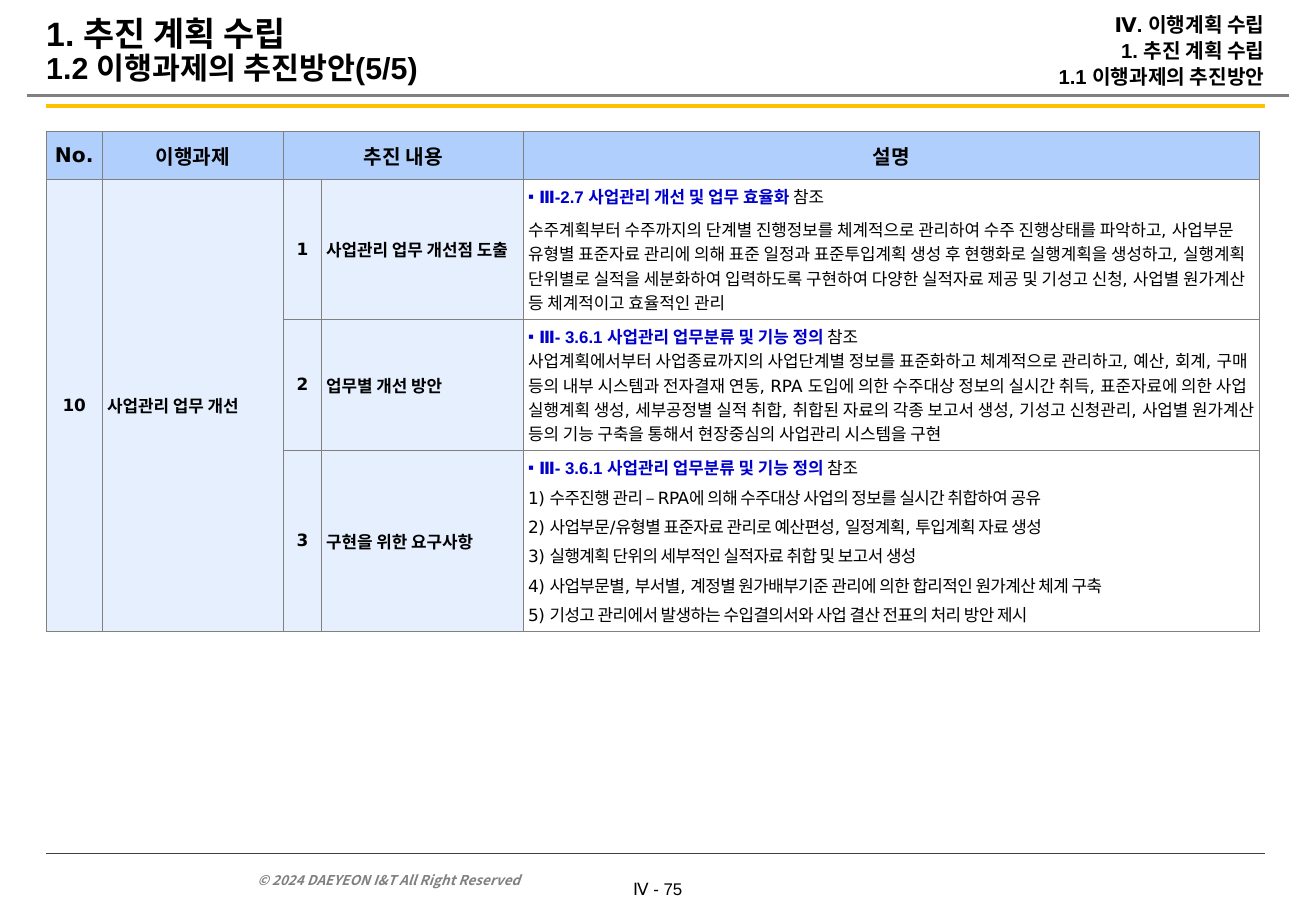
from lxml.etree import SubElement
from pptx import Presentation
from pptx.dml.color import RGBColor
from pptx.enum.shapes import MSO_CONNECTOR
from pptx.enum.text import MSO_ANCHOR as Anchor, PP_ALIGN as Align
from pptx.oxml.ns import qn
from pptx.util import Pt

rgb = RGBColor.from_string
KOREAN, SANS, ARIAL = "Noto Sans CJK KR", "DejaVu Sans", "Arial"
BLACK, GRAY, BLUE = "000000", "808080", "0000CC"
HEADER_FILL, LABEL_FILL, WHITE = "B1CFFC", "E5EFFE", "FFFFFF"


def write(frame, paragraphs, align=Align.LEFT, line_spacing=1.0, **base):
    """Fill a frame; a paragraph is (runs, space before, bullet), a run is (text, changes to base)."""
    for index, (runs, before, bullet) in enumerate(paragraphs):
        paragraph = frame.add_paragraph() if index else frame.paragraphs[0]
        paragraph.alignment, paragraph.line_spacing = align, line_spacing
        if before and index:
            paragraph.space_before = Pt(before)
        if bullet:
            properties = paragraph._p.get_or_add_pPr()
            properties.set("marL", str(Pt(6.5)))
            properties.set("indent", str(-Pt(6.5)))
            SubElement(properties, qn("a:buFont"), typeface=ARIAL)
            SubElement(properties, qn("a:buChar"), char=bullet)
        for text, changes in runs:
            values = {"size": 10, "name": ARIAL, "color": BLACK, "bold": False, **base, **changes}
            run = paragraph.add_run()
            run.text = text
            run.font.color.rgb = rgb(values.pop("color"))
            spacing = values.pop("spacing", 0)
            values["size"] = Pt(values["size"])
            for name, value in values.items():
                setattr(run.font, name, value)
            run_properties = run.font._element
            SubElement(run_properties, qn("a:ea"), typeface=KOREAN)
            run_properties.set("kern", "0")
            if spacing:
                run_properties.set("spc", str(round(spacing * 100)))


presentation = Presentation()
presentation.slide_width, presentation.slide_height = Pt(780), Pt(540)
slide = presentation.slides.add_slide(presentation.slide_layouts[6])

# Rules of the page frame
for left, right, y, color, width in [
    (16, 764, 56.5, GRAY, 1.5),
    (27.4, 750, 62.7, "FFC000", 2.5),
    (27.4, 750, 506, "404040", 0.5),
]:
    rule = slide.shapes.add_connector(MSO_CONNECTOR.STRAIGHT, Pt(left), Pt(y), Pt(right), Pt(y))
    rule.line.color.rgb = rgb(color)
    rule.line.width = Pt(width)
    SubElement(rule._element.spPr, qn("a:effectLst"))

# Title, chapter path and footer
title = [([("1. 추진 계획 수립", {"size": 20})], 0, None),
         ([("1.2 이행과제의 추진방안(5/5)", {"size": 18})], 0, None)]
chapter_path = [([(text, {})], 2.4, None) for text in
                ("Ⅳ. 이행계획 수립", "1. 추진 계획 수립", "1.1 이행과제의 추진방안")]
page_number = [([("Ⅳ - 75", {})], 0, None)]
copyright_line = [([("© 2024 DAEYEON I&T All Right Reserved", {})], 0, None)]
heading = {"bold": True, "line_spacing": 0.9}
for box, margins, anchor, wrap, paragraphs, formats in [
    ((27.4, 0, 470, 61.2), (0, 0), Anchor.MIDDLE, True, title, heading),
    ((504, 0, 245.5, 61.9), (0, 0), Anchor.MIDDLE, True, chapter_path,
     {**heading, "size": 12, "align": Align.RIGHT}),
    ((368.6, 517, 42.5, 19.4), (4.3, 3.6), Anchor.TOP, False, page_number, {"align": Align.CENTER}),
    ((145.4, 510.5, 217.4, 19.4), (7.2, 3.6), Anchor.BOTTOM, True, copyright_line,
     {"size": 8, "name": KOREAN, "color": GRAY, "bold": True, "italic": True}),
]:
    frame = slide.shapes.add_textbox(*map(Pt, box)).text_frame
    frame.word_wrap, frame.vertical_anchor = wrap, anchor
    frame.margin_left = frame.margin_right = Pt(margins[0])
    frame.margin_top = frame.margin_bottom = Pt(margins[1])
    write(frame, paragraphs, **formats)

# Task table
headers = ["No.", "이행과제", "추진 내용", None, "설명"]
tasks = [
    ("사업관리 업무 개선점 도출", "Ⅲ-2.7 사업관리 개선 및 업무 효율화 ", 5, 0, [
        "수주계획부터 수주까지의 단계별 진행정보를 체계적으로 관리하여 수주 진행상태를 파악하고, "
        "사업부문 유형별 표준자료 관리에 의해 표준 일정과 표준투입계획 생성 후 현행화로 실행계획을 생성하고, "
        "실행계획 단위별로 실적을 세분화하여 입력하도록 구현하여 다양한 실적자료 제공 및 기성고 신청, "
        "사업별 원가계산 등 체계적이고 효율적인 관리"]),
    ("업무별 개선 방안", "Ⅲ- 3.6.1 사업관리 업무분류 및 기능 정의 ", 0, 0, [
        "사업계획에서부터 사업종료까지의 사업단계별 정보를 표준화하고 체계적으로 관리하고, 예산, 회계, "
        "구매 등의 내부 시스템과 전자결재 연동, RPA 도입에 의한 수주대상 정보의 실시간 취득, "
        "표준자료에 의한 사업 실행계획 생성, 세부공정별 실적 취합, 취합된 자료의 각종 보고서 생성, "
        "기성고 신청관리, 사업별 원가계산 등의 기능 구축을 통해서 현장중심의 사업관리 시스템을 구현"]),
    ("구현을 위한 요구사항", "Ⅲ- 3.6.1 사업관리 업무분류 및 기능 정의 ", 3, -0.3, [
        "1) 수주진행 관리 – RPA에 의해 수주대상 사업의 정보를 실시간 취합하여 공유",
        "2) 사업부문/유형별 표준자료 관리로 예산편성, 일정계획, 투입계획 자료 생성",
        "3) 실행계획 단위의 세부적인 실적자료 취합 및 보고서 생성",
        "4) 사업부문별, 부서별, 계정별 원가배부기준 관리에 의한 합리적인 원가계산 체계 구축",
        "5) 기성고 관리에서 발생하는 수입결의서와 사업 결산 전표의 처리 방안 제시"]),
]
column_widths = [33.2, 107.4, 22.5, 119.7, 436.5]
row_heights = [28.6, 82.9, 77.8, 107.2]
table = slide.shapes.add_table(4, 5, Pt(27.4), Pt(77.8), Pt(sum(column_widths)),
                               Pt(sum(row_heights))).table
table.first_row = table.horz_banding = False
for column, width in zip(table.columns, column_widths):
    column.width = Pt(width)
for row, height in zip(table.rows, row_heights):
    row.height = Pt(height)

for row_index, row in enumerate(table.rows):
    for column_index, cell in enumerate(row.cells):
        cell.vertical_anchor = Anchor.MIDDLE
        for side in ("left", "right", "top", "bottom"):
            setattr(cell, f"margin_{side}", Pt(2.9))
        for edge in ("lnL", "lnR", "lnT", "lnB"):
            border = SubElement(cell._tc.get_or_add_tcPr(), qn(f"a:{edge}"), w=str(Pt(1)))
            SubElement(SubElement(border, qn("a:solidFill")), qn("a:srgbClr"), val=GRAY)
        cell.fill.solid()
        fill = HEADER_FILL if row_index == 0 else WHITE if column_index == 4 else LABEL_FILL
        cell.fill.fore_color.rgb = rgb(fill)
table.cell(0, 2).merge(table.cell(0, 3))
table.cell(1, 0).merge(table.cell(3, 0))
table.cell(1, 1).merge(table.cell(3, 1))

labels = [(0, column, text, 12, SANS, Align.CENTER) for column, text in enumerate(headers) if text]
labels += [(1, 0, "10", 10, SANS, Align.CENTER), (1, 1, "사업관리 업무 개선", 10, SANS, Align.LEFT)]
for number, (task, reference, before, spacing, details) in enumerate(tasks, 1):
    labels += [(number, 2, str(number), 10, SANS, Align.CENTER),
               (number, 3, task, 10, ARIAL, Align.LEFT)]
    paragraphs = [([(reference, {"color": BLUE, "bold": True}), ("참조", {})], 0, "▪")]
    paragraphs += [([(text, {"name": SANS, "spacing": spacing})], before, None) for text in details]
    write(table.cell(number, 4).text_frame, paragraphs)
for row_index, column_index, text, size, font_name, align in labels:
    write(table.cell(row_index, column_index).text_frame, [([(text, {})], 0, None)],
          align=align, size=size, name=font_name, bold=True)

presentation.save("out.pptx")
